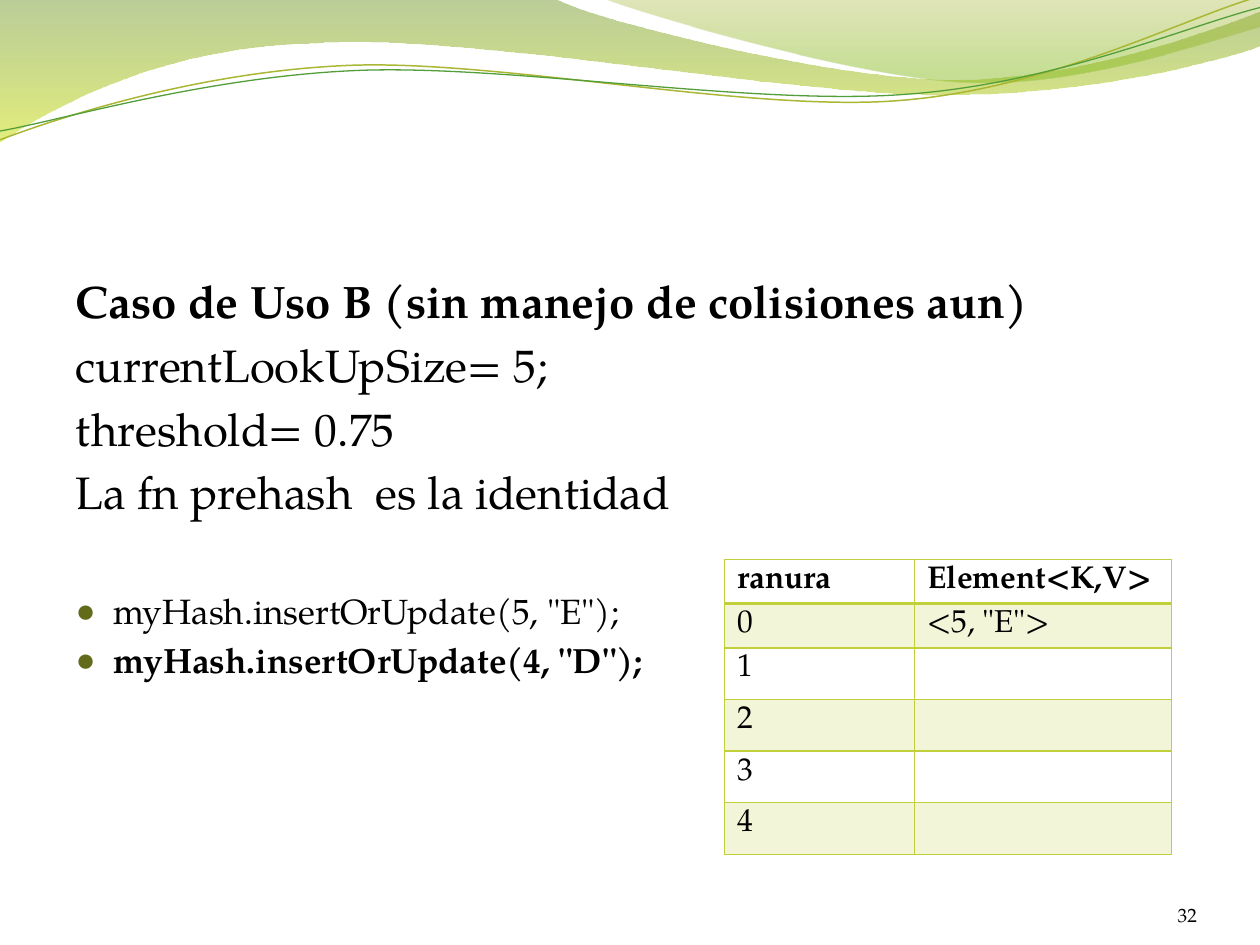
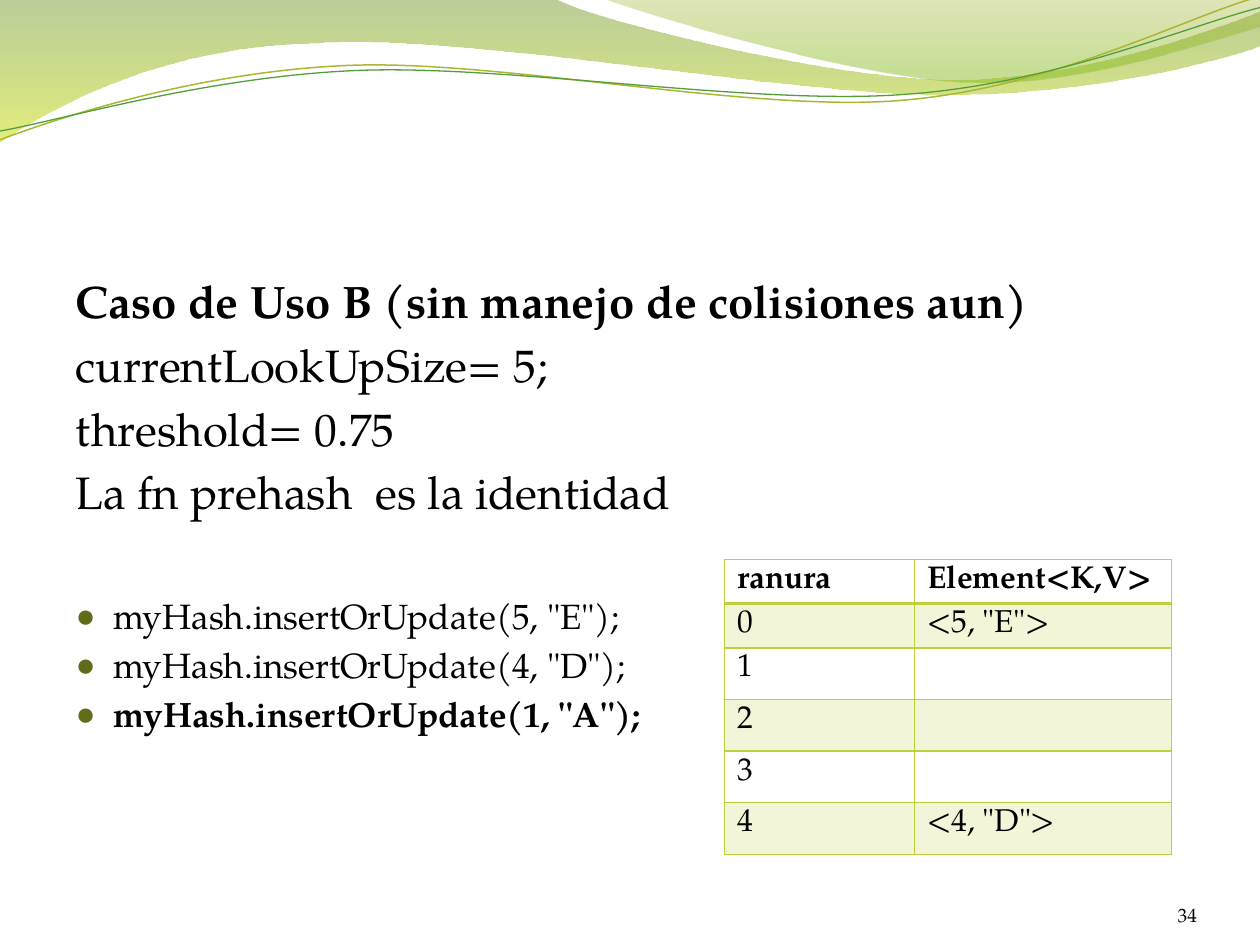
"""Build two slides that follow a hash table as elements are inserted."""
from lxml import etree
from pptx import Presentation
from pptx import util as u
from pptx.dml.color import RGBColor
from pptx.enum import text
from pptx.oxml.ns import qn

FONT = "TeX Gyre Pagella"
BLACK = RGBColor(0x00, 0x00, 0x00)
BULLET = RGBColor(0x62, 0x6B, 0x1A)
BORDER = RGBColor(0xC0, 0xCF, 0x3A)
BAND = RGBColor(0xF2, 0xF5, 0xD8)
MOSS = RGBColor(0x69, 0x92, 0x1C)
LIME = RGBColor(0xCC, 0xE1, 0x0F)
OLIVE = RGBColor(0x9B, 0xAA, 0x1A)
LEAF = RGBColor(0x81, 0xBA, 0x16)
CURVE_OLIVE = RGBColor(0xA9, 0xB7, 0x33)
CURVE_GREEN = RGBColor(0x54, 0x9E, 0x39)

BANDS = [
    ([(0, 0), (4.4, -0.01), (4.75, 0.17, 6.63, 0.63, 7.58, 0.63),
      (8.53, 0.63, 9.58, 0.26, 10, 0.09), (10.01, 0.36),
      (9.83, 0.44, 8.69, 0.76, 7.46, 0.75), (6.22, 0.75, 3.81, 0.28, 2.57, 0.34),
      (1.29, 0.36, 0.46, 0.83, -0.01, 1.13)],
     [(0, MOSS, 45), (1, LIME, 55)]),
    ([(4.79, -0.01), (5.09, 0.11, 6.82, 0.62, 7.68, 0.65),
      (8.55, 0.69, 9.61, 0.32, 10, 0.21), (10, 0)],
     [(0, OLIVE, 30), (0.8, LEAF, 45)]),
]
CURVES = [
    ([(0, 1.11), (0.48, 0.93, 1.57, 0.57, 2.76, 0.52),
      (3.95, 0.47, 5.92, 0.89, 7.12, 0.8), (8.33, 0.71, 9.38, 0.15, 9.97, -0.02)],
     CURVE_OLIVE, 0.85),
    ([(0, 1.04), (0.47, 0.96, 1.63, 0.61, 2.83, 0.56),
      (4.02, 0.51, 5.97, 0.84, 7.17, 0.75), (8.36, 0.67, 9.41, 0.21, 10, 0.06)],
     CURVE_GREEN, 0.75),
]
INTRO = ["Caso de Uso B (sin manejo de colisiones aun)", "currentLookUpSize= 5;",
         "threshold= 0.75", "La fn prehash  es la identidad"]
INSERTS = ['myHash.insertOrUpdate(5, "E");', 'myHash.insertOrUpdate(4, "D");',
           'myHash.insertOrUpdate(1, "A");']
SLIDES = [
    ("32", INSERTS[:2], {0: '<5, "E">'}, 40.4),
    ("34", INSERTS, {0: '<5, "E">', 4: '<4, "D">'}, 43.2),
]


def draw_wave(slide, segments, closed):
    """Draw a freeform whose six-number segments are cubic curves."""
    points = [(u.Inches(x), u.Inches(y)) for segment in segments
              for x, y in zip(segment[::2], segment[1::2])]
    builder = slide.shapes.build_freeform(*points[0])
    builder.add_line_segments(points[1:], close=closed)
    shape = builder.convert_to_shape()
    shape.shadow.inherit = False
    lines = shape.element.iter(qn("a:lnTo"))
    lines = iter(list(lines))
    for segment in segments[1:]:
        line = next(lines)
        if len(segment) == 6:
            curve = etree.Element(qn("a:cubicBezTo"))
            line.addprevious(curve)
            for control in (line, next(lines), next(lines)):
                curve.append(control[0])
                control.getparent().remove(control)
    return shape


def style_paragraph(paragraph, content, size, bold=False):
    """Fill a paragraph and set its font."""
    paragraph.text = content
    font = paragraph.font
    font.name, font.size, font.bold = FONT, u.Pt(size), bold
    font.color.rgb = BLACK


presentation = Presentation()
presentation.slide_width, presentation.slide_height = u.Inches(10), u.Inches(7.5)
layout = presentation.slide_layouts[1]
slides = [presentation.slides.add_slide(layout) for _ in SLIDES]

waves = []
for segments, stops in BANDS:
    shape = draw_wave(slides[0], segments, True)
    shape.fill.gradient()
    shape.fill.gradient_angle = 270
    for stop, (position, color, _) in zip(shape.fill.gradient_stops, stops):
        stop.position = position
        stop.color.rgb = color
    for element, (_, _, opacity) in zip(shape.element.iter(qn("a:srgbClr")), stops):
        etree.SubElement(element, qn("a:alpha"), val=str(opacity * 1000))
    shape.line.fill.background()
    waves.append(shape)
for segments, color, width in CURVES:
    shape = draw_wave(slides[0], segments, False)
    shape.fill.background()
    shape.line.color.rgb = color
    shape.line.width = u.Pt(width)
    waves.append(shape)
for index, shape in enumerate(waves):
    shape.element.nvSpPr.cNvPr.set("id", str(20 + index))
    layout.shapes.element.insert(2 + index, shape.element)

for slide, (number, inserts, elements, gap) in zip(slides, SLIDES):
    title = slide.shapes.title.element
    title.getparent().remove(title)

    body = slide.placeholders[1]
    body.left, body.top, body.width, body.height = map(u.Inches, (0.5, 2.12, 9, 4.8))
    frame = body.text_frame
    frame.auto_size = text.MSO_AUTO_SIZE.NONE
    for index, line in enumerate(INTRO + inserts):
        paragraph = frame.paragraphs[0] if index == 0 else frame.add_paragraph()
        properties = paragraph._p.get_or_add_pPr()
        bulleted = index >= len(INTRO)
        indent = u.Inches(0.3) if bulleted else 0
        properties.set("marL", str(indent))
        properties.set("indent", str(-indent))
        if bulleted:
            color = etree.SubElement(properties, qn("a:buClr"))
            etree.SubElement(color, qn("a:srgbClr"), val=str(BULLET))
            etree.SubElement(properties, qn("a:buSzPct"), val="95000")
            etree.SubElement(properties, qn("a:buChar"), char="●")
        else:
            etree.SubElement(properties, qn("a:buNone"))
        size = 20 if bulleted else 26
        space = 0 if index == 0 else gap if index == len(INTRO) else size * 0.2
        paragraph.space_before = u.Pt(space)
        style_paragraph(paragraph, line, size, line in (INTRO[0], inserts[-1]))

    number_box = slide.shapes.add_textbox(*map(u.Inches, (8.67, 6.95, 0.83, 0.4)))
    frame = number_box.text_frame
    frame.word_wrap = True
    frame.vertical_anchor = text.MSO_ANCHOR.BOTTOM
    frame.margin_left = frame.margin_top = frame.margin_right = frame.margin_bottom = 0
    frame.paragraphs[0].alignment = text.PP_ALIGN.RIGHT
    style_paragraph(frame.paragraphs[0], number, 11)

    rows = [("ranura", "Element<K,V>")] + [(str(slot), elements.get(slot, "")) for slot in range(5)]
    table = slide.shapes.add_table(len(rows), 2, *map(u.Inches, (5.75, 4.44, 3.55, 2.04))).table
    table.first_row = table.horz_banding = False
    table.columns[0].width, table.columns[1].width = u.Inches(1.51), u.Inches(2.04)
    for row, values in enumerate(rows):
        table.rows[row].height = u.Inches(0.2 if row < 2 else 0.41)
        for column, value in enumerate(values):
            cell = table.cell(row, column)
            if row < 2:
                cell.margin_bottom = 0
            for side in "LRTB":
                thick = (row, side) in ((0, "B"), (1, "T"))
                border = etree.SubElement(cell._tc.get_or_add_tcPr(), qn("a:ln" + side),
                                          w=str(u.Pt(2 if thick else 1)))
                fill = etree.SubElement(border, qn("a:solidFill"))
                etree.SubElement(fill, qn("a:srgbClr"), val=str(BORDER))
            if row % 2:
                cell.fill.solid()
                cell.fill.fore_color.rgb = BAND
            else:
                cell.fill.background()
            style_paragraph(cell.text_frame.paragraphs[0], value, 18, row == 0)

presentation.save("out.pptx")
